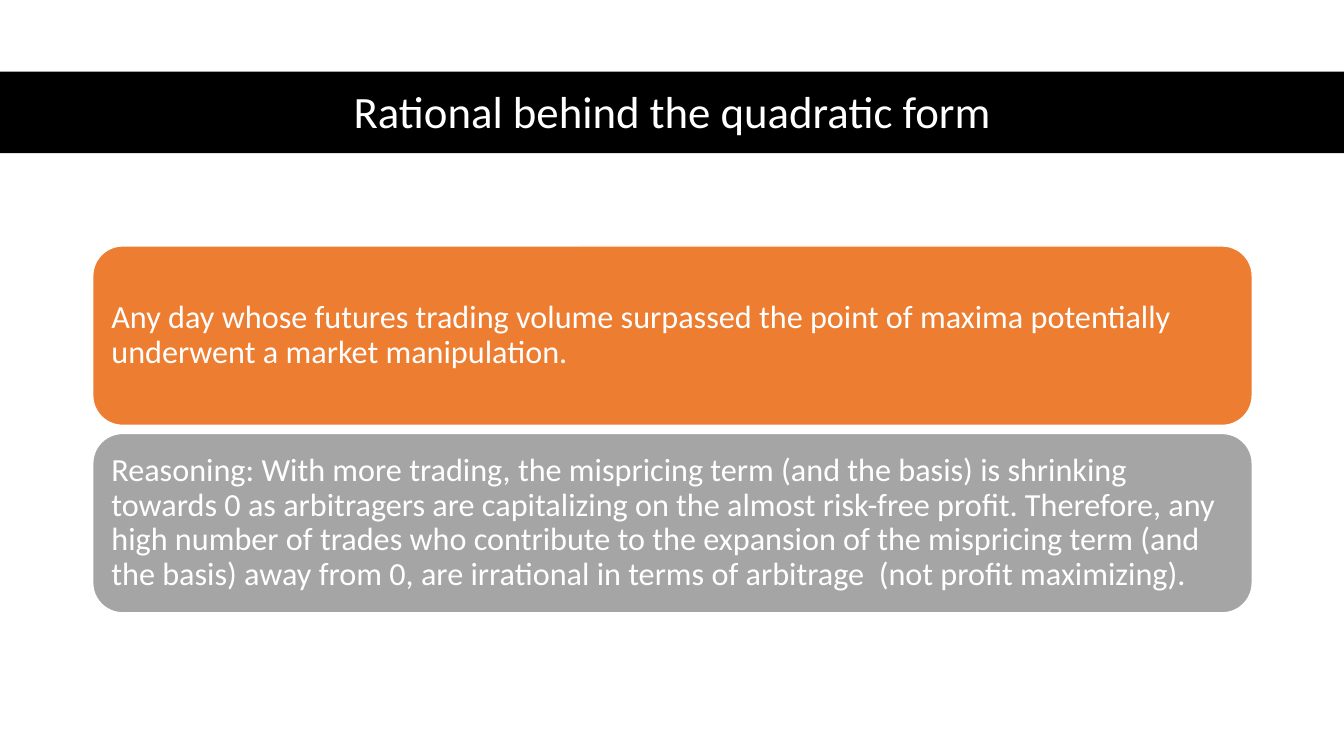
from pptx import Presentation
from pptx.dml.color import RGBColor
from pptx.enum.shapes import MSO_SHAPE
from pptx.enum.text import MSO_ANCHOR, PP_ALIGN
from pptx.util import Inches, Pt

COLORS = {"white": "FFFFFF", "black": "000000", "orange": "ED7D31", "gray": "A5A5A5"}
TITLE = "Rational behind the quadratic form"
CARDS = [
    ("orange", "Any day whose futures trading volume surpassed the point of maxima "
     "potentially underwent a market manipulation."),
    ("gray", "Reasoning: With more trading, the mispricing term (and the basis) is "
     "shrinking towards 0 as arbitragers are capitalizing on the almost risk-free "
     "profit. Therefore, any high number of trades who contribute to the expansion "
     "of the mispricing term (and the basis) away from 0, are irrational in terms "
     "of arbitrage  (not profit maximizing)."),
]
LEFT, WIDTH = 0.92, 11.5
TOP, HEIGHT, STEP = 2.44, 1.78, 1.86


def color(name):
    """Return the named colour."""
    return RGBColor.from_string(COLORS[name])


def add_box(slide, kind, box, fill):
    """Add a filled shape without shadow or line."""
    shape = slide.shapes.add_shape(kind, *map(Inches, box))
    shape.shadow.inherit = False
    shape.fill.solid()
    shape.fill.fore_color.rgb = color(fill)
    shape.line.fill.background()
    return shape


def set_text(shape, text, size, align):
    """Write one white paragraph, centred vertically."""
    frame = shape.text_frame
    frame.word_wrap = True
    frame.vertical_anchor = MSO_ANCHOR.MIDDLE
    para = frame.paragraphs[0]
    para.text = text
    para.alignment = align
    para.line_spacing = 0.9
    para.font.name = "Calibri"
    para.font.size = Pt(size)
    para.font.color.rgb = color("white")


def add_title(slide):
    """Place the title over a black band."""
    title = slide.shapes.title
    title.left, title.top = Inches(LEFT), Inches(0.74)
    title.width, title.height = Inches(WIDTH), Inches(0.78)
    set_text(title, TITLE, 32, PP_ALIGN.CENTER)
    band = add_box(slide, MSO_SHAPE.RECTANGLE, (0, 0.71, 13.33, 0.81), "black")
    title.element.addprevious(band.element)


def add_card(slide, top, fill, text):
    """Add a rounded card with its statement."""
    card = add_box(slide, MSO_SHAPE.ROUNDED_RECTANGLE, (LEFT, top, WIDTH, HEIGHT), fill)
    card.line.color.rgb = color("white")
    card.line.width = Pt(1)
    set_text(card, text, 23, PP_ALIGN.LEFT)


def main():
    """Build and save the slide."""
    deck = Presentation()
    deck.slide_width, deck.slide_height = Inches(13.33), Inches(7.5)
    slide = deck.slides.add_slide(deck.slide_layouts[5])
    add_title(slide)
    for row, (fill, text) in enumerate(CARDS):
        add_card(slide, TOP + row * STEP, fill, text)
    deck.save("out.pptx")


if __name__ == "__main__":
    main()
